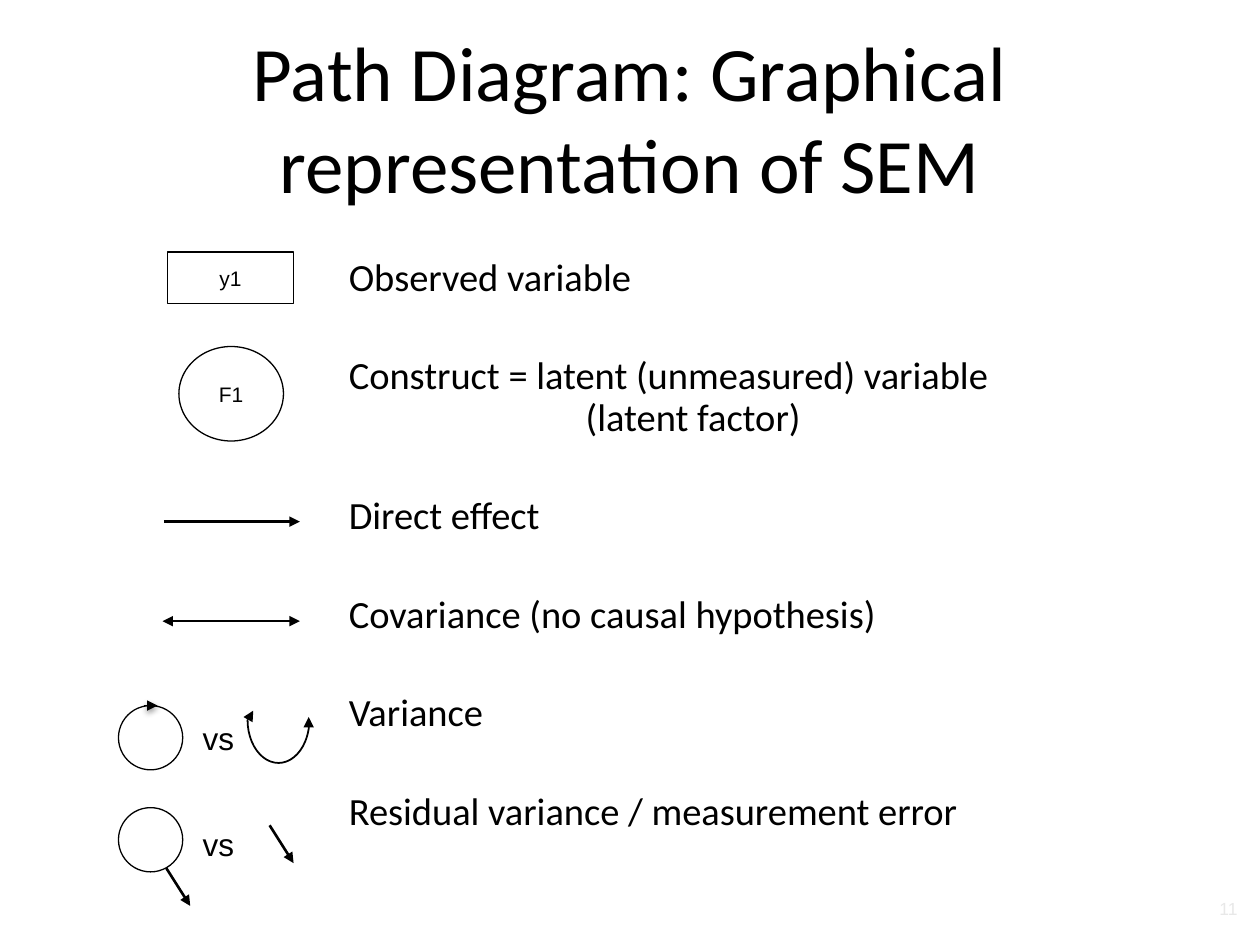
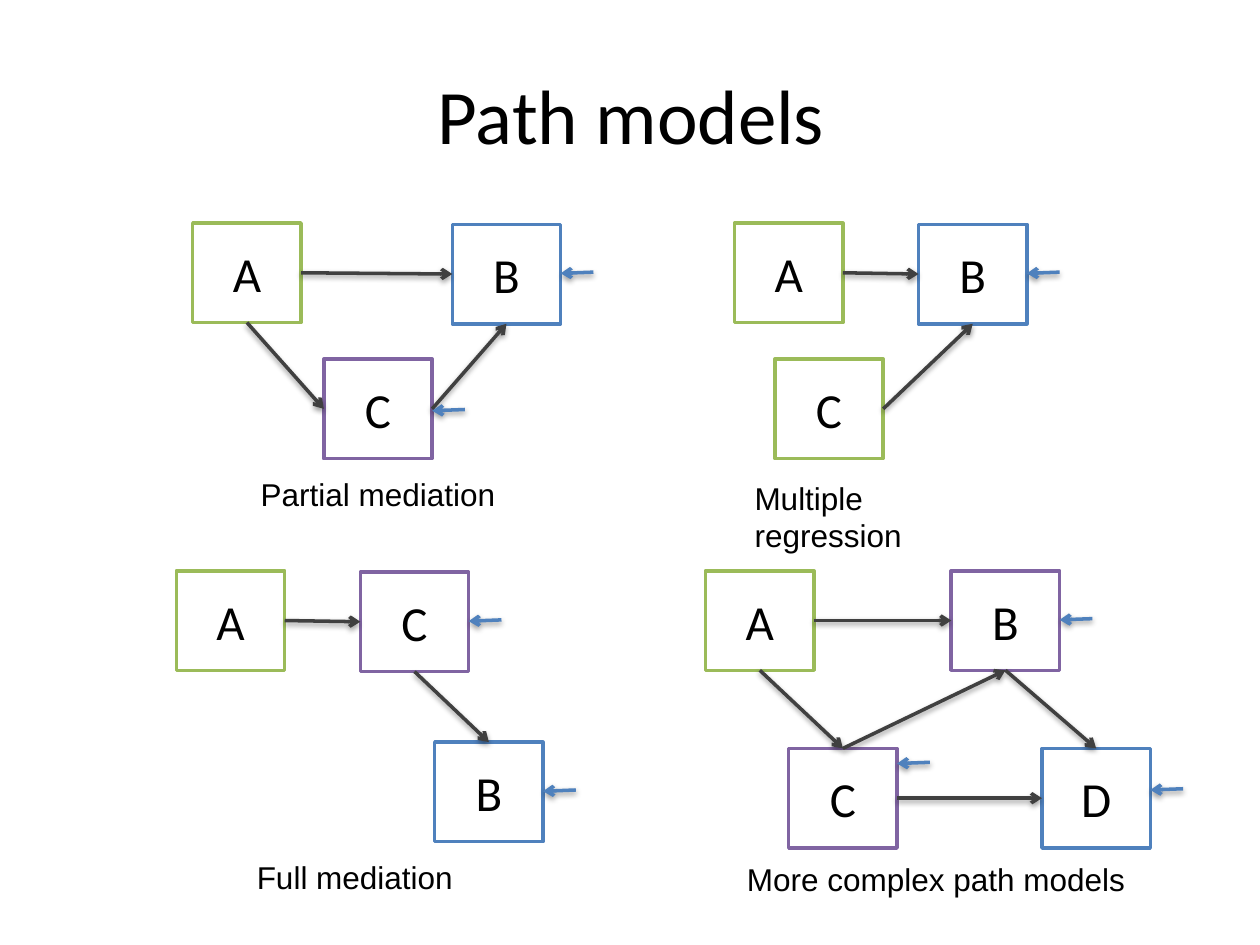
from lxml.etree import SubElement
from pptx import Presentation
from pptx.dml.color import RGBColor
from pptx.enum.shapes import MSO_CONNECTOR, MSO_SHAPE
from pptx.enum.text import MSO_ANCHOR, PP_ALIGN
from pptx.oxml.ns import qn
from pptx.util import Inches, Pt

# Shared colours and text formats
BLACK = RGBColor(0x00, 0x00, 0x00)
WHITE = RGBColor(0xFF, 0xFF, 0xFF)
DARK = RGBColor(0x40, 0x40, 0x40)
PALE = RGBColor(0xE8, 0xE8, 0xE8)
GREEN = RGBColor(0x9B, 0xBB, 0x59)
BLUE = RGBColor(0x4F, 0x81, 0xBD)
PURPLE = RGBColor(0x80, 0x64, 0xA2)

TITLE = {"name": "Calibri", "size": Pt(44)}
BODY = {"name": "Calibri", "size": Pt(22)}
NODE = {"name": "Calibri", "size": Pt(28)}
SYMBOL = {"name": "Arial", "size": Pt(12)}
LABEL = {"name": "Arial", "size": Pt(18)}
NUMBER = {"name": "Arial", "size": Pt(10)}

# Slide 1: (text, left margin, space before in points)
GAP = 32.5
LEGEND = [
    ("Observed variable", 0, 0),
    ("Construct = latent (unmeasured) variable", 0, GAP),
    ("(latent factor)", 1.88, 0),
    ("Direct effect", 0, GAP),
    ("Covariance (no causal hypothesis)", 0, GAP),
    ("Variance", 0, GAP),
    ("Residual variance / measurement error", 0, GAP),
]
# Preset, box, text
SYMBOLS = [
    (MSO_SHAPE.RECTANGLE, (1.33, 2, 1, 0.41), "y1"),
    (MSO_SHAPE.OVAL, (1.42, 2.75, 0.83, 0.75), "F1"),
    (MSO_SHAPE.OVAL, (0.94, 5.6, 0.51, 0.51), ""),
    (MSO_SHAPE.OVAL, (0.94, 6.41, 0.51, 0.51), ""),
]
# Start, end, width, extra options
SYMBOL_ARROWS = [
    ((1.3, 4.14), (2.38, 4.14), 1.5, {}),
    ((1.29, 4.93), (2.38, 4.93), 1.5, {"both": True}),
    ((1.14, 5.6), (1.25, 5.6), 0.25, {"shadow": True}),
    ((1.32, 6.89), (1.51, 7.19), 1.5, {}),
    ((2.14, 6.55), (2.33, 6.85), 1.5, {}),
    ((1.97, 5.71), (2.01, 5.64), 1, {}),
    ((2.45, 5.73), (2.45, 5.69), 1, {}),
]
VERSUS_TOPS = (5.66, 6.5)

# Slide 2: nodes are (left, top, colour), paths are "from.side to.side",
# errors give the height of the arrow below the top of its node
NODE_W, NODE_H, ERROR_LEN = 0.86, 0.79, 0.26
SIDES = {"l": (0, 0.5), "r": (1, 0.5), "t": (0.5, 0), "b": (0.5, 1)}
MODELS = [
    {"caption": ("Partial mediation", 1.97, 3.72, 2.3),
     "nodes": {"A": (1.53, 1.77, GREEN), "B": (3.59, 1.78, BLUE),
               "C": (2.57, 2.85, PURPLE)},
     "paths": ["A.r B.l", "A.b C.l", "C.r B.b"],
     "errors": {"B": 0.39, "C": 0.41}},
    {"caption": ("Multiple regression", 5.89, 3.75, 2.11),
     "nodes": {"A": (5.83, 1.77, GREEN), "B": (7.29, 1.78, BLUE),
               "C": (6.15, 2.85, GREEN)},
     "paths": ["A.r B.l", "C.r B.b"],
     "errors": {"B": 0.39}},
    {"caption": ("Full mediation", 1.94, 6.76, 2),
     "nodes": {"A": (1.4, 4.53, GREEN), "C": (2.86, 4.54, PURPLE),
               "B": (3.45, 5.89, BLUE)},
     "paths": ["A.r C.l", "C.b B.t"],
     "errors": {"C": 0.39, "B": 0.39}},
    {"caption": ("More complex path models", 5.83, 6.78, 3.5),
     "nodes": {"A": (5.6, 4.53, GREEN), "B": (7.55, 4.53, PURPLE),
               "C": (6.26, 5.94, PURPLE), "D": (8.27, 5.94, BLUE)},
     "paths": ["A.r B.l", "A.b C.t", "C.t B.b", "B.b D.t", "C.r D.l"],
     "errors": {"B": 0.39, "C": 0.12, "D": 0.33}},
]


def write(p, text, style, color=BLACK, align=PP_ALIGN.LEFT):
    p.alignment = align
    r = p.add_run()
    r.text = text
    for key, value in style.items():
        setattr(r.font, key, value)
    r.font.color.rgb = color


def add_text(s, box, text, style, anchor=MSO_ANCHOR.TOP, **options):
    tf = s.shapes.add_textbox(*map(Inches, box)).text_frame
    tf.word_wrap = True
    tf.vertical_anchor = anchor
    if text:
        write(tf.paragraphs[0], text, style, **options)
    return tf


def add_title(s, text, left, top):
    add_text(s, (left, top, 9, 1.25), text, TITLE, MSO_ANCHOR.MIDDLE,
             align=PP_ALIGN.CENTER)


def add_outline(s, preset, box, color, width, text="", style=None, fill=None):
    sp = s.shapes.add_shape(preset, *map(Inches, box))
    sp.shadow.inherit = False
    if fill is None:
        sp.fill.background()
    else:
        sp.fill.solid()
        sp.fill.fore_color.rgb = fill
    sp.line.color.rgb = color
    sp.line.width = Pt(width)
    if text:
        tf = sp.text_frame
        tf.vertical_anchor = MSO_ANCHOR.MIDDLE
        write(tf.paragraphs[0], text, style, align=PP_ALIGN.CENTER)
    return sp


def add_arrow(s, start, end, color, width, tip="triangle", both=False,
              shadow=False):
    cn = s.shapes.add_connector(MSO_CONNECTOR.STRAIGHT,
                                *map(Inches, (*start, *end)))
    cn.line.color.rgb = color
    cn.line.width = Pt(width)
    ln = cn.line._get_or_add_ln()
    for tag in ("a:headEnd", "a:tailEnd") if both else ("a:tailEnd",):
        SubElement(ln, qn(tag), type=tip)
    effects = SubElement(cn._element.spPr, qn("a:effectLst"))
    if shadow:
        sh = SubElement(effects, qn("a:outerShdw"), blurRad="40000",
                        dist="20000", dir="5400000", rotWithShape="0")
        clr = SubElement(sh, qn("a:srgbClr"), val=str(BLACK))
        SubElement(clr, qn("a:alpha"), val="38000")


def build_legend(s):
    add_title(s, "Path Diagram: Graphical representation of SEM", 0.5, 0.3)
    tf = add_text(s, (2.67, 2, 6.58, 5.25), "", BODY)
    for i, (text, margin, before) in enumerate(LEGEND):
        p = tf.add_paragraph() if i else tf.paragraphs[0]
        p.line_spacing = 0.9
        p.space_before = Pt(before)
        p._p.get_or_add_pPr().set("marL", str(Inches(margin)))
        write(p, text, BODY)

    # Symbols and arrows beside the legend
    for preset, box, text in SYMBOLS:
        add_outline(s, preset, box, BLACK, 0.75, text, SYMBOL)
    for top in VERSUS_TOPS:
        add_text(s, (1.51, top, 0.5, 0.4), "vs", LABEL)
    loop = add_outline(s, MSO_SHAPE.CURVED_RIGHT_ARROW,
                       (2.04, 5.64, 0.34, 0.49), BLACK, 1, fill=WHITE)
    loop.rotation = 270
    for i, value in enumerate((0.25, 0, 0.11)):
        loop.adjustments[i] = value
    for start, end, width, options in SYMBOL_ARROWS:
        add_arrow(s, start, end, BLACK, width, **options)

    # Slide number
    add_text(s, (8.92, 7.08, 1, 0.27), "11", NUMBER, color=PALE,
             align=PP_ALIGN.RIGHT)


def build_model(s, model):
    nodes = model["nodes"]

    def joint(ref):
        name, side = ref.split(".")
        x, y, _ = nodes[name]
        fx, fy = SIDES[side]
        return x + fx * NODE_W, y + fy * NODE_H

    for name, (x, y, color) in nodes.items():
        add_outline(s, MSO_SHAPE.RECTANGLE, (x, y, NODE_W, NODE_H), color, 2,
                    name, NODE, WHITE)
    for link in model["paths"]:
        start, end = map(joint, link.split())
        add_arrow(s, start, end, DARK, 2, "arrow", shadow=True)
    for name, drop in model["errors"].items():
        x, y = nodes[name][0] + NODE_W, nodes[name][1] + drop
        add_arrow(s, (x + ERROR_LEN, y - 0.01), (x, y), BLUE, 2, "arrow",
                  shadow=True)
    text, left, top, width = model["caption"]
    add_text(s, (left, top, width, 0.4), text, LABEL)


def main():
    prs = Presentation()
    prs.slide_width, prs.slide_height = Inches(10), Inches(7.5)
    blank = prs.slide_layouts[6]

    build_legend(prs.slides.add_slide(blank))

    s = prs.slides.add_slide(blank)
    add_title(s, "Path models", 0.51, 0.28)
    for model in MODELS:
        build_model(s, model)

    prs.save("out.pptx")


if __name__ == "__main__":
    main()
